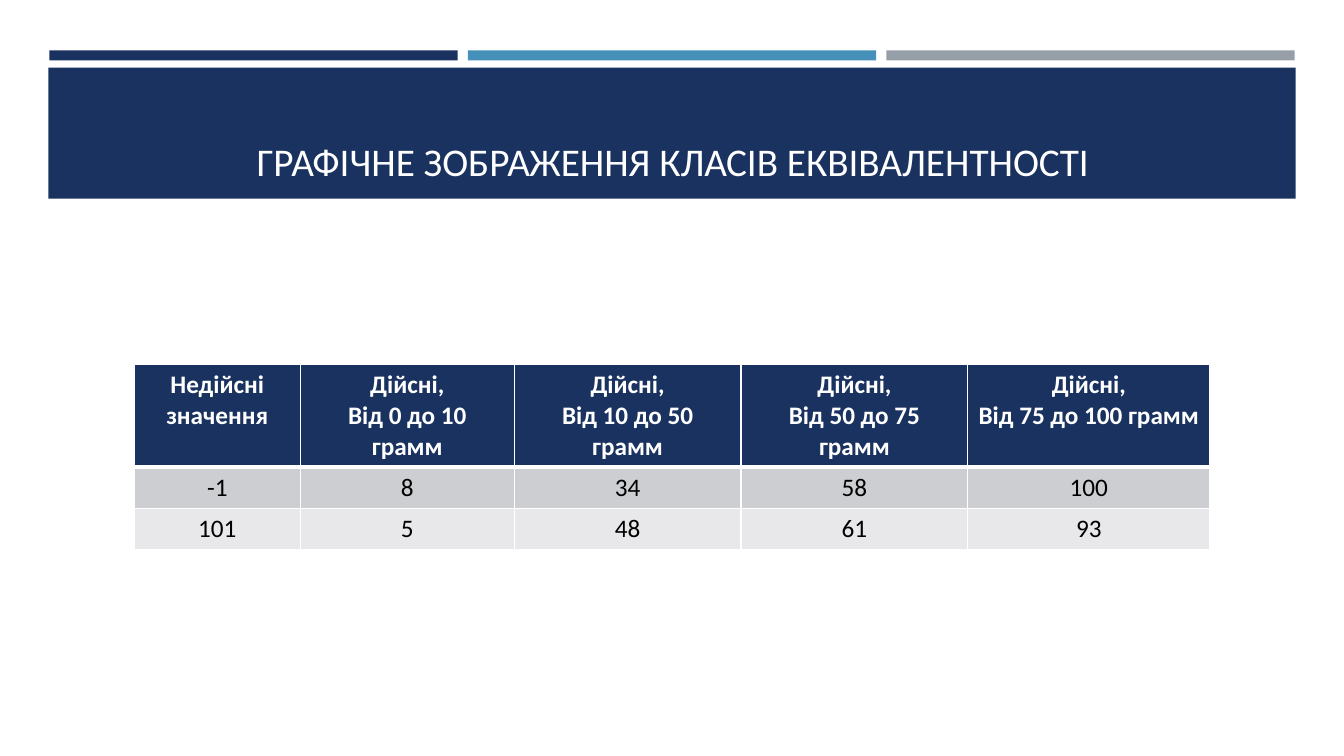
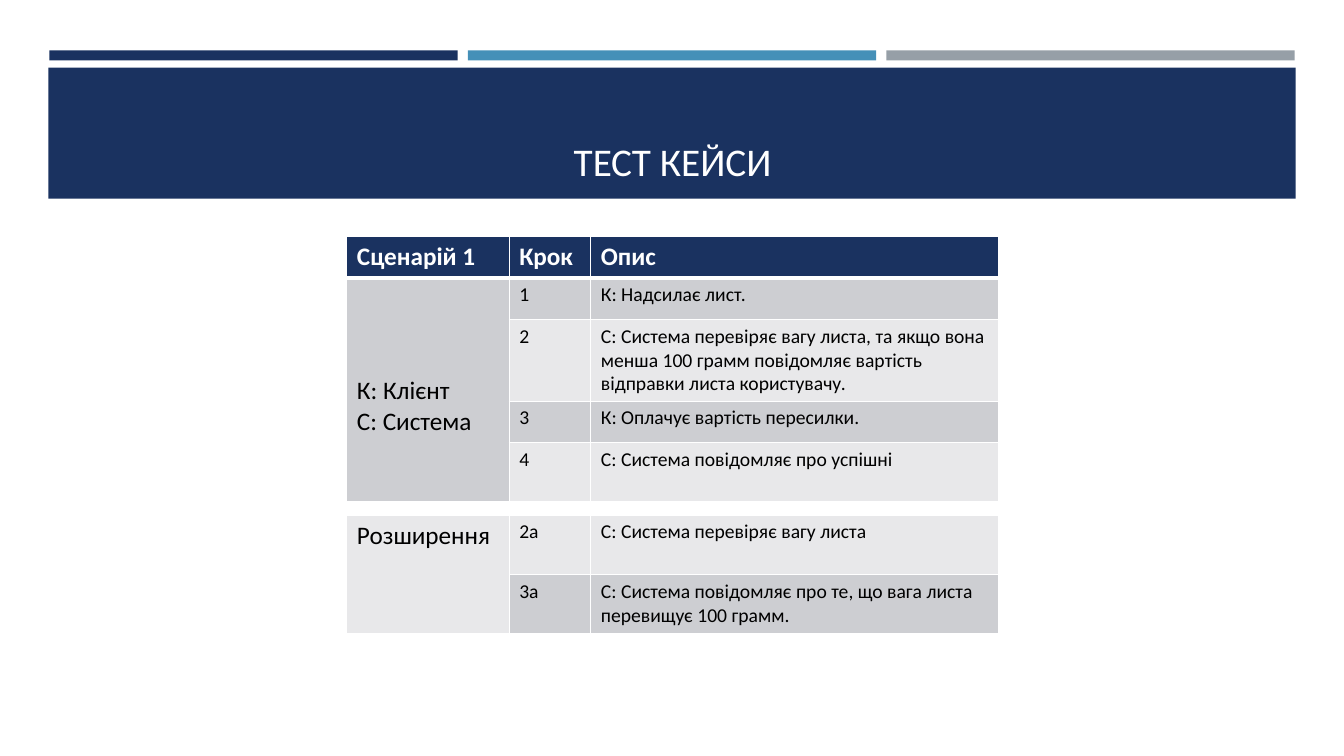
from lxml import etree
from pptx import Presentation
from pptx import util as u
from pptx.dml.color import RGBColor
from pptx.enum import shapes, text
from pptx.oxml import ns

COLORS = {
    "navy": "1A3260", "blue": "4590B8", "gray": "969FA7", "white": "FFFFFF",
    "black": "000000", "dark_row": "CDCED2", "light_row": "E8E8EA",
}
FONT = "Calibri"


def add_xml(parent, tag, index=None, **attributes):
    element = parent.makeelement(ns.qn(tag), attributes)
    parent.insert(len(parent) if index is None else index, element)
    return element


def style_cell(cell, content, fill, size, color="black", bold=False, align=None, bottom=1):
    cell.text_frame.text = content
    for para in cell.text_frame.paragraphs:
        para.alignment = align
        for span in para.runs:
            span.font.name = FONT
            span.font.size = u.Pt(size)
            span.font.bold = bold
            span.font.color.rgb = RGBColor.from_string(COLORS[color])
    cell.fill.solid()
    cell.fill.fore_color.rgb = RGBColor.from_string(COLORS[fill])
    properties = cell._tc.get_or_add_tcPr()
    for index, side in enumerate("LRTB"):
        width = bottom if side == "B" else 1
        line = add_xml(properties, f"a:ln{side}", index, w=str(u.Pt(width)))
        add_xml(add_xml(line, "a:solidFill"), "a:srgbClr", val=COLORS["white"])


deck = Presentation()
deck.slide_width, deck.slide_height = u.Inches(13.33), u.Inches(7.5)
layout = deck.slide_layouts[5]
for holder in list(layout.placeholders):
    if holder.placeholder_format.idx:
        holder.element.getparent().remove(holder.element)

layout_title = layout.placeholders[0]
layout_title.left, layout_title.top = u.Inches(0.64), u.Inches(0.77)
layout_title.width, layout_title.height = u.Inches(12.06), u.Inches(1.11)
layout_title.text_frame.vertical_anchor = text.MSO_ANCHOR.BOTTOM
list_style = layout_title.element.txBody.find(ns.qn("a:lstStyle"))
level = add_xml(list_style, "a:lvl1pPr", algn="ctr")
title_font = add_xml(level, "a:defRPr", sz="2800")
add_xml(add_xml(title_font, "a:solidFill"), "a:srgbClr", val=COLORS["white"])
add_xml(title_font, "a:latin", typeface=FONT)

pages = []
for heading in ("ГРАФІЧНЕ ЗОБРАЖЕННЯ КЛАСІВ ЕКВІВАЛЕНТНОСТІ", "ТЕСТ КЕЙСИ"):
    page = deck.slides.add_slide(layout)
    page.shapes.title.text_frame.text = heading
    pages.append(page)
classes_page, cases_page = pages

bands = [(0.49 + 4.15 * i, 0.5, 4.05, 0.1, name) for i, name in enumerate(("navy", "blue", "gray"))]
bands.append((0.48, 0.67, 12.37, 1.3, "navy"))
for index, (*place, name) in enumerate(bands):
    band = classes_page.shapes.add_shape(shapes.MSO_SHAPE.RECTANGLE, *map(u.Inches, place))
    band.shadow.inherit = False
    band.fill.solid()
    band.fill.fore_color.rgb = RGBColor.from_string(COLORS[name])
    band.line.fill.background()
    layout.shapes.element.insert(2 + index, band.element)

class_rows = [
    ["Недійсні значення"] + [f"Дійсні,\nВід {low} до {high} грамм"
                             for low, high in ((0, 10), (10, 50), (50, 75), (75, 100))],
    ["-1", "8", "34", "58", "100"],
    ["101", "5", "48", "61", "93"],
]
case_rows = [
    ["Сценарій 1", "Крок", "Опис"],
    ["К: Клієнт\nС: Система", "1", "К: Надсилає лист."],
    ["", "2", "С: Система перевіряє вагу листа, та якщо вона менша 100 грамм "
              "повідомляє вартість відправки листа користувачу."],
    ["", "3", "К: Оплачує вартість пересилки."],
    ["", "4", "С: Система повідомляє про успішні"],
    ["", "", ""],
    ["Розширення", "2а", "С: Система перевіряє вагу листа"],
    ["", "3а", "С: Система повідомляє про те, що вага листа перевищує 100 грамм."],
]
tables = [
    (classes_page, class_rows, 1.33, 3.62, [1.65, 2.12, 2.25, 2.25, 2.4],
     [1.01, 0.41, 0.41], 18, text.PP_ALIGN.CENTER),
    (cases_page, case_rows, 3.44, 2.35, [1.61, 0.81, 4.04],
     [0.41, 0.41, 0.81, 0.41, 0.59, 0.13, 0.59, 0.59], 14, None),
]
for page, rows, left, top, widths, heights, size, align in tables:
    frame = page.shapes.add_table(len(rows), len(widths), u.Inches(left), u.Inches(top),
                                  u.Inches(sum(widths)), u.Inches(sum(heights)))
    table = frame.table
    table.horz_banding = False
    for column, width in zip(table.columns, widths):
        column.width = u.Inches(width)
    for r, (row, height) in enumerate(zip(rows, heights)):
        table.rows[r].height = u.Inches(height)
        for c, content in enumerate(row):
            cell = table.cell(r, c)
            if r == 0:
                style_cell(cell, content, "navy", 18, "white", True, align, 3)
            elif not any(row):
                style_cell(cell, content, "white", 1)
                cell.margin_top = cell.margin_bottom = 0
                add_xml(cell.text_frame.paragraphs[0]._p, "a:endParaRPr", sz="100")
            else:
                fill = "dark_row" if r % 2 else "light_row"
                style_cell(cell, content, fill, size if c else 18, align=align)

table.cell(1, 0).merge(table.cell(4, 0))
table.cell(1, 0).margin_top = u.Inches(0.97)
table.cell(6, 0).merge(table.cell(7, 0))

deck.save("out.pptx")
